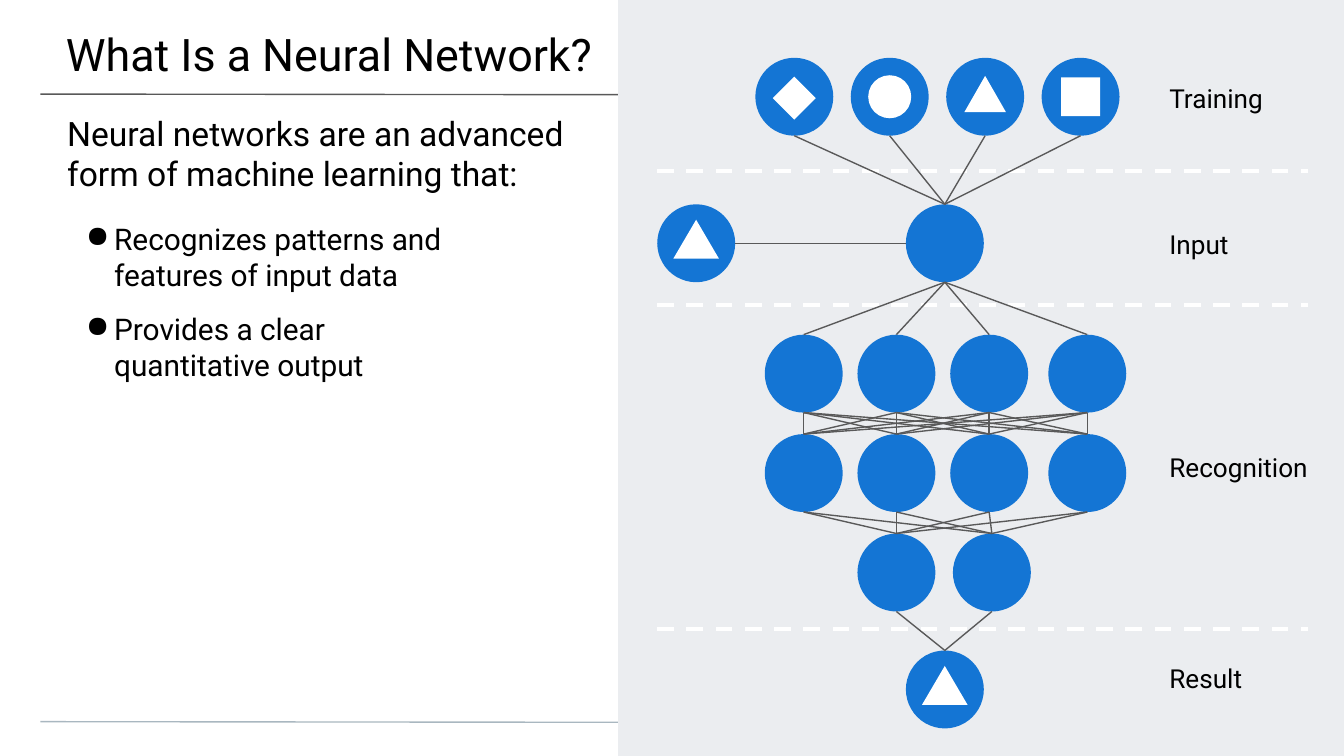
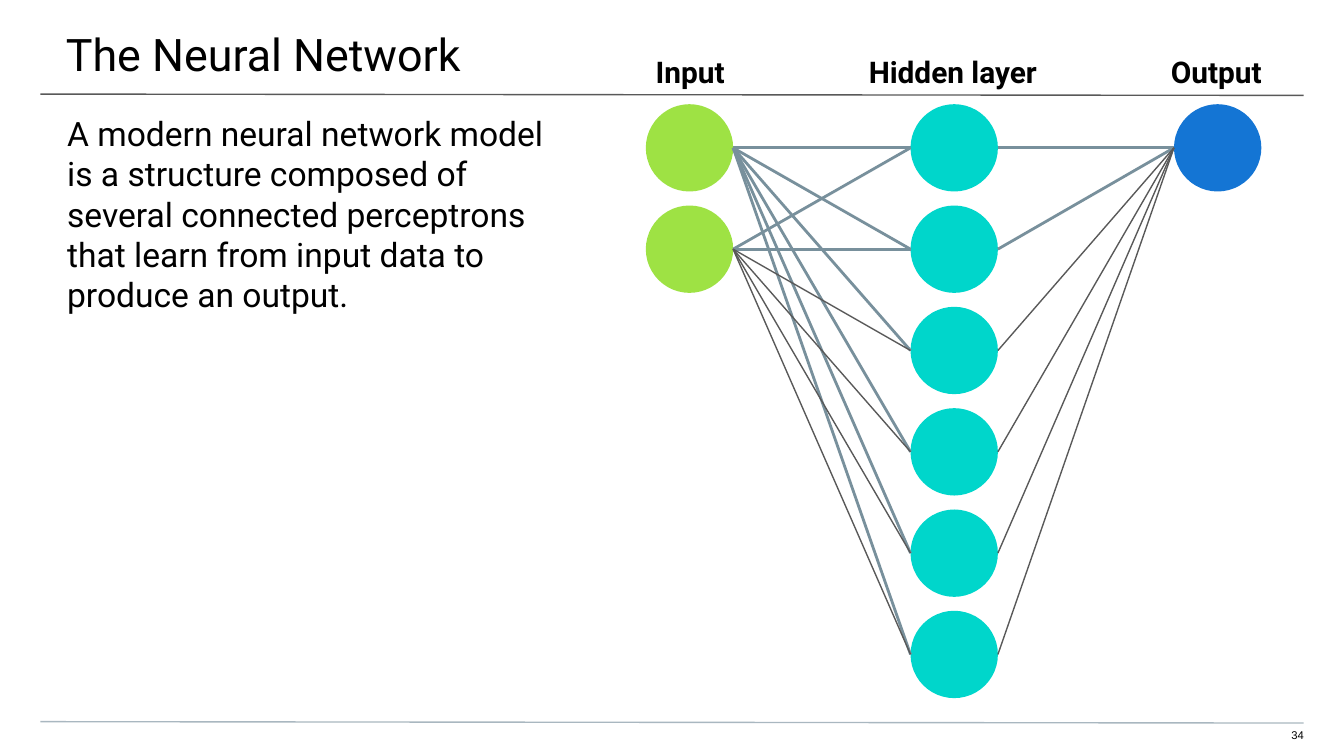
"""Builds two slides that introduce neural networks."""
from itertools import product

from lxml import etree
from pptx import Presentation
from pptx.dml.color import RGBColor
from pptx.enum.dml import MSO_LINE
from pptx.enum.shapes import MSO_CONNECTOR, MSO_SHAPE
from pptx.enum.text import MSO_ANCHOR, MSO_AUTO_SIZE, PP_ALIGN
from pptx.oxml.ns import qn
from pptx.util import Inches, Pt

COLORS = {
    "text": "000000",
    "white": "FFFFFF",
    "panel": "EBEDF0",
    "rule": "595959",
    "footer": "A9B7C0",
    "strong": "78909C",
    "blue": "1475D4",
    "teal": "00D6CB",
    "green": "9EE244",
}
FONT = "Roboto"
NODE = 0.58
NEURON = 0.65


def color(name):
    return RGBColor.from_string(COLORS[name])


def add_line(slide, start, end, name="rule", width=0.75, dash=None):
    points = [Inches(v) for v in (*start, *end)]
    line = slide.shapes.add_connector(MSO_CONNECTOR.STRAIGHT, *points)
    line.line.color.rgb = color(name)
    line.line.width = Pt(width)
    if dash:
        line.line.dash_style = dash
    etree.SubElement(line._element.spPr, qn("a:effectLst"))
    return line


def add_centered(shapes, kind, cx, cy, width, height, name):
    sp = shapes.add_shape(kind, Inches(cx - width / 2), Inches(cy - height / 2),
                          Inches(width), Inches(height))
    sp.shadow.inherit = False
    sp.fill.solid()
    sp.fill.fore_color.rgb = color(name)
    sp.line.fill.background()
    return sp


def add_circle(shapes, center, size=NODE, name="blue"):
    return add_centered(shapes, MSO_SHAPE.OVAL, *center, size, size, name)


def add_triangle_node(slide, center):
    shapes = slide.shapes.add_group_shape().shapes
    cx, cy = center
    add_circle(shapes, center)
    add_centered(shapes, MSO_SHAPE.ISOSCELES_TRIANGLE, cx, cy - 0.03, 0.34, 0.29, "white")


def format_text(tf, insets, size, bold=False, align=PP_ALIGN.LEFT, font=FONT):
    tf.word_wrap = True
    tf.vertical_anchor = MSO_ANCHOR.TOP
    tf.margin_left, tf.margin_top, tf.margin_right, tf.margin_bottom = map(Inches, insets)
    for p in tf.paragraphs:
        p.alignment = align
        for r in p.runs:
            r.font.name = font
            r.font.size = Pt(size)
            r.font.bold = bold
            r.font.color.rgb = color("text")


def add_text(slide, text, box, size, insets=(0, 0, 0, 0), **style):
    tf = slide.shapes.add_textbox(*map(Inches, box)).text_frame
    tf.text = text
    format_text(tf, insets, size, **style)
    return tf


def add_body(slide, text, width, height):
    add_text(slide, text, (0, 0.74, width, height), 18, (0.5, 0.1, 0.5, 0))


def add_bullets(slide, items, box):
    tf = add_text(slide, "\n".join(items), box, 16, (0.5, 0, 0.5, 0))
    for i, p in enumerate(tf.paragraphs):
        pPr = p._p.get_or_add_pPr()
        pPr.set("marL", str(Inches(0.35)))
        pPr.set("indent", str(Inches(-0.21)))
        if i:
            p.space_before = Pt(10)
        bu_color = etree.SubElement(pPr, qn("a:buClr"))
        etree.SubElement(bu_color, qn("a:srgbClr")).set("val", COLORS["text"])
        etree.SubElement(pPr, qn("a:buChar")).set("char", "●")


def add_titled_slide(prs, title):
    slide = prs.slides.add_slide(prs.slide_layouts[5])
    sp = slide.shapes.title
    sp.left, sp.top, sp.width, sp.height = map(Inches, (0, 0, 10, 0.58))
    tf = sp.text_frame
    tf.text = title
    tf.auto_size = MSO_AUTO_SIZE.NONE
    format_text(tf, (0.49, 0.2, 0.3, 0.1), 24)
    add_line(slide, (0.3, 0.7), (9.7, 0.71))
    add_line(slide, (0.3, 5.37), (9.7, 5.38), "footer")
    return slide


def link_rows(slide, upper, lower):
    for (x1, y1), (x2, y2) in product(upper, lower):
        add_line(slide, (x1, y1 + NODE / 2), (x2, y2 - NODE / 2))


def link_columns(slide, left, right, name="rule", width=0.75):
    for (x1, y1), (x2, y2) in product(left, right):
        add_line(slide, (x1 + NEURON / 2, y1), (x2 - NEURON / 2, y2), name, width)


def add_training_symbols(slide, centers):
    symbols = [
        (MSO_SHAPE.DIAMOND, 0.32, 0.32, 0.01),
        (MSO_SHAPE.OVAL, 0.32, 0.32, 0),
        (MSO_SHAPE.ISOSCELES_TRIANGLE, 0.31, 0.27, -0.02),
        (MSO_SHAPE.RECTANGLE, 0.29, 0.29, 0),
    ]
    for (cx, cy), (kind, width, height, shift) in zip(centers, symbols):
        add_centered(slide.shapes, kind, cx, cy + shift, width, height, "white")


def add_stage_diagram(slide):
    add_centered(slide.shapes, MSO_SHAPE.RECTANGLE, 7.3, 2.81, 5.4, 5.63, "panel")
    for y in (1.27, 2.27, 4.68):
        add_line(slide, (4.89, y), (9.73, y), "white", 2.25, MSO_LINE.DASH)
    stages = {"Training": 0.61, "Input": 1.7, "Recognition": 3.36, "Result": 4.93}
    for label, top in stages.items():
        tf = add_text(slide, label, (8.7, top, 1.05, 0.24), 14)
        tf.auto_size = MSO_AUTO_SIZE.SHAPE_TO_FIT_TEXT

    training = [(5.91 + 0.71 * i, 0.72) for i in range(4)]
    sample, center, result = (5.18, 1.81), (7.03, 1.81), (7.03, 5.13)
    columns = (5.98, 6.67, 7.36, 8.09)
    first = [(x, 2.78) for x in columns]
    second = [(x, 3.52) for x in columns]
    third = [(x, 4.26) for x in (6.67, 7.38)]

    for node in [*training, center, *first, *second, *third]:
        add_circle(slide.shapes, node)
    add_training_symbols(slide, training)
    add_triangle_node(slide, sample)
    add_triangle_node(slide, result)
    add_line(slide, (sample[0] + NODE / 2, 1.81), (center[0] - NODE / 2, 1.81))
    rows = [training, [center], first, second, third, [result]]
    for upper, lower in zip(rows, rows[1:]):
        link_rows(slide, upper, lower)


def add_layer_diagram(slide):
    rows = [1.1 + 3.77 * i / 5 for i in range(6)]
    inputs = [(5.13, y) for y in rows[:2]]
    hidden = [(7.1, y) for y in rows]
    output = [(9.06, rows[0])]

    link_columns(slide, inputs[:1], output, "strong", 1.5)
    for nodes, name in ((inputs, "green"), (hidden, "teal"), (output, "blue")):
        for node in nodes:
            add_circle(slide.shapes, node, NEURON, name)
    headings = (("Input", 4.56, 1.15), ("Hidden layer", 6.35, 1.48), ("Output", 8.31, 1.48))
    for heading, left, width in headings:
        tf = add_text(slide, heading, (left, 0.3, width, 0.47), 16, (0.1,) * 4,
                      bold=True, align=PP_ALIGN.CENTER)
        tf.auto_size = MSO_AUTO_SIZE.SHAPE_TO_FIT_TEXT

    link_columns(slide, inputs[:1], hidden[1:], "strong", 1.5)
    link_columns(slide, inputs[1:], hidden[:2], "strong", 1.5)
    link_columns(slide, hidden[1:2], output, "strong", 1.5)
    link_columns(slide, inputs[1:], hidden[2:])
    link_columns(slide, hidden[2:], output)


def build_intro_slide(prs):
    slide = add_titled_slide(prs, "What Is a Neural Network?")
    add_body(slide, "Neural networks are an advanced form of machine learning that:", 4.78, 0.79)
    add_bullets(slide, ["Recognizes patterns and features of input data",
                        "Provides a clear quantitative output"], (0, 1.64, 3.94, 1.48))
    add_stage_diagram(slide)


def build_network_slide(prs):
    slide = add_titled_slide(prs, "The Neural Network")
    add_text(slide, "34", (9.41, 5.42, 0.29, 0.12), 6, align=PP_ALIGN.RIGHT, font="Arial")
    add_body(slide, "A modern neural network model is a structure composed of several "
                    "connected perceptrons that learn from input data to produce an output.",
             4.56, 2.29)
    add_layer_diagram(slide)


def main():
    prs = Presentation()
    prs.slide_width = Inches(10)
    prs.slide_height = Inches(10) * 9 // 16
    build_intro_slide(prs)
    build_network_slide(prs)
    prs.save("out.pptx")


if __name__ == "__main__":
    main()
